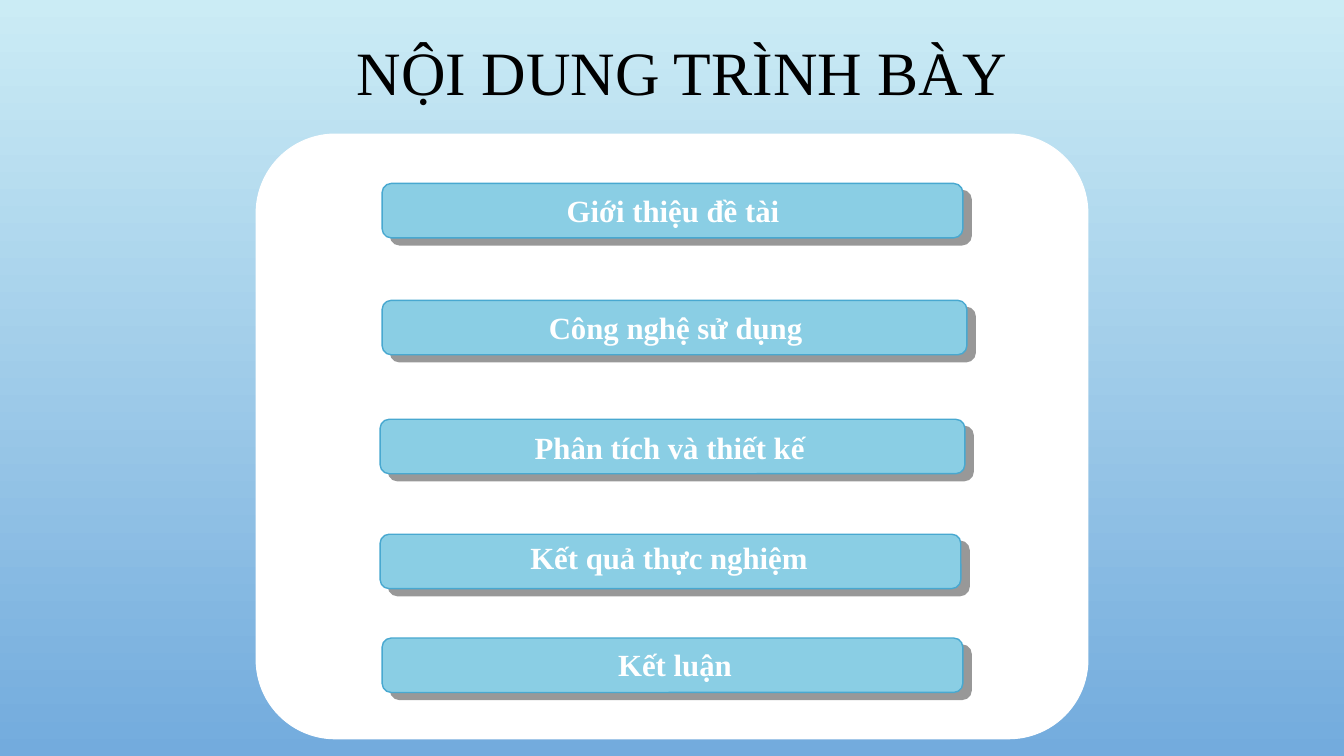
from dataclasses import dataclass

from lxml import etree
from pptx import Presentation
from pptx.dml.color import RGBColor
from pptx.enum.shapes import MSO_SHAPE
from pptx.enum.text import MSO_AUTO_SIZE, PP_ALIGN
from pptx.oxml.ns import qn
from pptx.shapes.autoshape import Shape
from pptx.slide import Slide
from pptx.util import Inches, Pt

ROUND = MSO_SHAPE.ROUNDED_RECTANGLE
GROW = MSO_AUTO_SIZE.SHAPE_TO_FIT_TEXT
LEFT = PP_ALIGN.LEFT
CENTER = PP_ALIGN.CENTER

SKY = RGBColor(0xCB, 0xEC, 0xF5)
BLUE = RGBColor(0x73, 0xAB, 0xDD)
AQUA = RGBColor(0x8A, 0xCE, 0xE4)
EDGE = RGBColor(0x48, 0xA8, 0xD0)
SHADE = RGBColor(0x33, 0x33, 0x33)
WHITE = RGBColor(0xFF, 0xFF, 0xFF)
BLACK = RGBColor(0x00, 0x00, 0x00)

FACE = "Times New Roman"
TITLE = {"name": FACE, "size": Pt(44)}
LABEL = {"name": FACE, "size": Pt(22), "bold": True}


@dataclass
class Box:
    left: float
    top: float
    width: float
    height: float

    def place(self) -> list[int]:
        return [Inches(n) for n in (self.left, self.top, self.width, self.height)]


@dataclass
class Item:
    text: str
    bar: Box
    label: Box


# Agenda entries, top to bottom
BAR_H = 0.54
TEXT_H = 0.47
ITEMS = [
    Item("Giới thiệu đề tài", Box(3.79, 1.82, 5.76, BAR_H), Box(4.44, 1.85, 4.47, TEXT_H)),
    Item("Công nghệ sử dụng", Box(3.79, 2.98, 5.8, BAR_H), Box(4.08, 3.01, 5.24, TEXT_H)),
    Item("Phân tích và thiết kế ", Box(3.77, 4.16, 5.8, BAR_H), Box(4.06, 4.2, 5.24, TEXT_H)),
    Item("Kết quả thực nghiệm", Box(3.77, 5.3, 5.76, BAR_H), Box(4.4, 5.3, 4.47, TEXT_H)),
    Item("Kết luận", Box(3.79, 6.33, 5.76, BAR_H), Box(4.46, 6.36, 4.47, TEXT_H)),
]


def add_panel(slide: Slide, box: Box, curve: float, fill: RGBColor,
              edge: RGBColor, weight: float) -> Shape:
    panel = slide.shapes.add_shape(ROUND, *box.place())
    panel.adjustments[0] = curve
    panel.shadow.inherit = False
    panel.fill.solid()
    panel.fill.fore_color.rgb = fill
    panel.line.color.rgb = edge
    panel.line.width = Pt(weight)
    return panel


def add_shadow(shape: Shape) -> None:
    effects = shape._element.spPr.find(qn("a:effectLst"))
    outer = etree.SubElement(effects, qn("a:outerShdw"), blurRad="0",
                             dist=str(Pt(7.8)), dir=str(40 * 60000),
                             algn="ctr", rotWithShape="0")
    color = etree.SubElement(outer, qn("a:srgbClr"), val=str(SHADE))
    etree.SubElement(color, qn("a:alpha"), val="50000")


def add_text(slide: Slide, box: Box, text: str, style: dict, color: RGBColor,
             align: PP_ALIGN, wrap: bool) -> None:
    frame = slide.shapes.add_textbox(*box.place()).text_frame
    frame.word_wrap = wrap
    frame.auto_size = GROW
    para = frame.paragraphs[0]
    para.alignment = align
    run = para.add_run()
    run.text = text
    for key, value in style.items():
        setattr(run.font, key, value)
    run.font.color.rgb = color


def main() -> None:
    deck = Presentation()
    deck.slide_width = Inches(13.33)
    deck.slide_height = Inches(7.5)
    slide = deck.slides.add_slide(deck.slide_layouts[6])

    # Background, light at the top
    back = slide.background.fill
    back.gradient()
    back.gradient_angle = 270
    for stop, color in zip(back.gradient_stops, (SKY, BLUE)):
        stop.color.rgb = color

    # Title and white card
    add_panel(slide, Box(2.54, 1.33, 8.25, 6), 0.131, WHITE, WHITE, 0.75)
    add_text(slide, Box(3.44, 0.29, 6.72, 0.84), "NỘI DUNG TRÌNH BÀY",
             TITLE, BLACK, LEFT, False)

    # Agenda bars
    for item in ITEMS:
        bar = add_panel(slide, item.bar, 0.167, AQUA, EDGE, 1)
        add_shadow(bar)
        add_text(slide, item.label, item.text, LABEL, WHITE, CENTER, True)

    deck.save("out.pptx")


if __name__ == "__main__":
    main()
